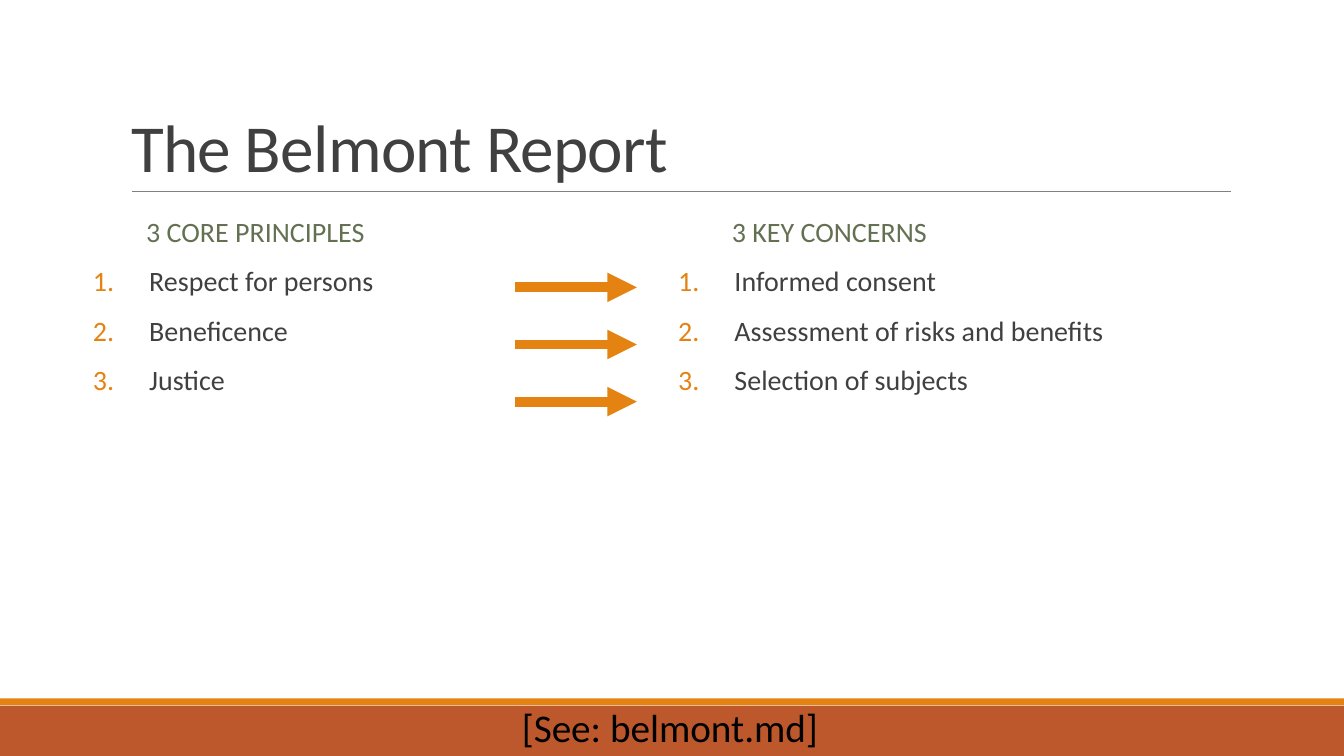
from lxml.etree import SubElement
from pptx import Presentation
from pptx.dml.color import RGBColor
from pptx.enum.shapes import MSO_CONNECTOR, MSO_SHAPE
from pptx.enum.text import MSO_ANCHOR, MSO_AUTO_SIZE, PP_ALIGN
from pptx.oxml.ns import qn
from pptx.util import Cm, Pt

FONT = "Calibri"
ORANGE, RUST, GREY = "E48312", "BD582C", "808080"
DARK, OLIVE, BLACK = "404040", "637052", "000000"

TITLE_SPACING = {"line_spacing": 0.85, "space_before": Pt(0), "alignment": PP_ALIGN.LEFT}
BODY_SPACING = {"line_spacing": 0.9, "space_before": Pt(12), "space_after": Pt(2)}
LIST_INSETS = {"margin_left": 0, "margin_right": 0}
LIST_INDENT = Cm(1.42)

# Heading, its left and width, list left and width, list items
COLUMNS = [
    ("3 CORE PRINCIPLES", 3.43, 14.33, 2.34, 14.33,
     ["Respect for persons", "Beneficence", "Justice"]),
    ("3 KEY CONCERNS", 18.19, 14.4, 17.09, 15.42,
     ["Informed consent", "Assessment of risks and benefits", "Selection of subjects"]),
]


def color(value):
    return RGBColor.from_string(value)


def apply(target, formats):
    for name, value in formats.items():
        setattr(target, name, value)


def place(box, left, top, width, height):
    apply(box, {"left": Cm(left), "top": Cm(top),
                "width": Cm(width), "height": Cm(height)})


def write(box, lines, size, hex_color, spacing, frame_formats):
    """Fill a box with one paragraph per line and return the paragraphs."""
    frame = box.text_frame
    frame.text = "\n".join(lines)
    apply(frame, {"auto_size": MSO_AUTO_SIZE.NONE, "word_wrap": True, **frame_formats})
    for paragraph in frame.paragraphs:
        apply(paragraph, spacing)
        font = paragraph.runs[0].font
        apply(font, {"name": FONT, "size": Pt(size), "bold": False})
        font.color.rgb = color(hex_color)
    return frame.paragraphs


def number(paragraph):
    properties = paragraph._p.get_or_add_pPr()
    properties.set("marL", str(LIST_INDENT))
    properties.set("indent", str(-LIST_INDENT))
    bullet_color = SubElement(properties, qn("a:buClr"))
    SubElement(bullet_color, qn("a:srgbClr"), val=ORANGE)
    SubElement(properties, qn("a:buFont"), typeface=FONT)
    SubElement(properties, qn("a:buAutoNum"), type="arabicPeriod")


def add_band(slide, top, height, fill):
    band = slide.shapes.add_shape(MSO_SHAPE.RECTANGLE, 0, Cm(top), Cm(33.87), Cm(height))
    band.shadow.inherit = False
    band.fill.solid()
    band.fill.fore_color.rgb = color(fill)
    band.line.fill.background()


def add_rule(slide, left, right, y, hex_color, width, arrow=False):
    rule = slide.shapes.add_connector(
        MSO_CONNECTOR.STRAIGHT, Cm(left), Cm(y), Cm(right), Cm(y))
    rule.line.color.rgb = color(hex_color)
    rule.line.width = Pt(width)
    if arrow:
        SubElement(rule.line._get_or_add_ln(), qn("a:tailEnd"), type="triangle")
    SubElement(rule._element.spPr, qn("a:effectLst"))


def add_column(heading_box, list_box, column):
    heading, heading_left, heading_width, list_left, list_width, items = column
    place(heading_box, heading_left, 5.18, heading_width, 1.42)
    write(heading_box, [heading], 20, OLIVE, BODY_SPACING,
          {"vertical_anchor": MSO_ANCHOR.MIDDLE})
    place(list_box, list_left, 6.6, list_width, 6.4)
    for item in write(list_box, items, 20, DARK, BODY_SPACING, LIST_INSETS):
        number(item)


def main():
    deck = Presentation()
    apply(deck, {"slide_width": Cm(33.87), "slide_height": Cm(19.05)})
    slide = deck.slides.add_slide(deck.slide_layouts.get_by_name("Comparison"))
    title, *bodies = slide.placeholders

    # Footer bands and title rule
    add_band(slide, 17.78, 1.27, RUST)
    add_band(slide, 17.6, 0.17, ORANGE)
    add_rule(slide, 3.33, 31.01, 4.83, GREY, 0.5)

    # Title
    place(title, 3.05, 0.79, 27.94, 4.04)
    heading, = write(title, ["The Belmont Report"], 48, DARK, TITLE_SPACING,
                     {"vertical_anchor": MSO_ANCHOR.BOTTOM})
    heading.runs[0].font._element.set("spc", "-50")

    # Principles and concerns
    for heading_box, list_box, column in zip(bodies[::2], bodies[1::2], COLUMNS):
        add_column(heading_box, list_box, column)

    # Arrows from each principle to its concern
    for row in range(3):
        add_rule(slide, 12.98, 16.05, 7.24 + 1.44 * row, ORANGE, 7, arrow=True)

    # Source note
    note = slide.shapes.add_textbox(Cm(12.9), Cm(17.6), Cm(8.08), Cm(1.45))
    write(note, ["[See: belmont.md]"], 28, BLACK, {},
          {"word_wrap": False, "auto_size": MSO_AUTO_SIZE.SHAPE_TO_FIT_TEXT})

    deck.save("out.pptx")


if __name__ == "__main__":
    main()
